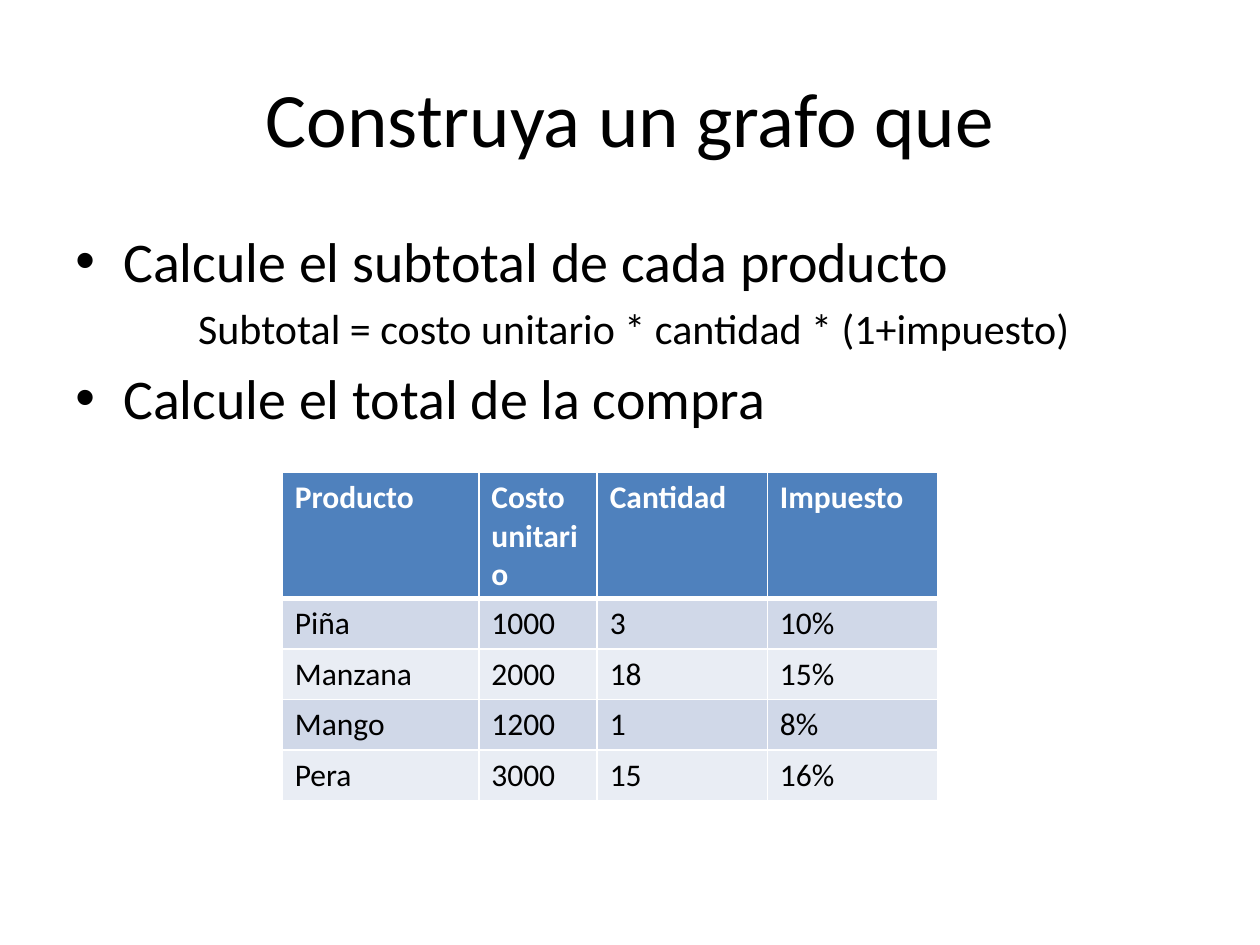
from pptx import Presentation
from pptx.dml.color import RGBColor
from pptx.enum.text import MSO_ANCHOR, PP_ALIGN
from pptx.oxml import parse_xml
from pptx.oxml.ns import nsdecls
from pptx.util import Inches, Pt

FONT = "Calibri"
BLACK, WHITE, HEADER = "000000", "FFFFFF", "4F81BD"
BANDS = ["D0D8E8", "E9EDF4"]

TITLE = "Construya un grafo que"
# text, size, is bullet
BODY = [
    ("Calcule el subtotal de cada producto", 32, True),
    ("Subtotal = costo unitario * cantidad * (1+impuesto)", 24, False),
    ("Calcule el total de la compra", 32, True),
]
PRODUCTS = [
    ("Producto", "Costo unitario", "Cantidad", "Impuesto"),
    ("Piña", "1000", "3", "10%"),
    ("Manzana", "2000", "18", "15%"),
    ("Mango", "1200", "1", "8%"),
    ("Pera", "3000", "15", "16%"),
]
COL_WIDTHS = [1.56, 0.94, 1.35, 1.35]
HEADER_H, ROW_H = 1.0, 0.4


def rgb(color):
    return RGBColor.from_string(color)


def style(p, size, color=BLACK, bold=False):
    for r in p.runs:
        r.font.name = FONT
        r.font.size = Pt(size)
        r.font.bold = bold
        r.font.color.rgb = rgb(color)


def add_text_frame(slide, left, top, width, height):
    box = slide.shapes.add_textbox(Inches(left), Inches(top), Inches(width), Inches(height))
    box.text_frame.word_wrap = True
    return box.text_frame


def indent(p, left, first=0):
    pPr = p._p.get_or_add_pPr()
    pPr.set("marL", str(Inches(left)))
    pPr.set("indent", str(Inches(first)))
    return pPr


def add_bullet(p):
    pPr = indent(p, 0.38, -0.38)
    pPr.append(parse_xml(f'<a:buFont {nsdecls("a")} typeface="Arial"/>'))
    pPr.append(parse_xml(f'<a:buChar {nsdecls("a")} char="•"/>'))


def set_borders(cell, bottom):
    """White lines around a cell, the bottom one of the given width in points."""
    tcPr = cell._tc.get_or_add_tcPr()
    widths = {"lnL": 1, "lnR": 1, "lnT": 1, "lnB": bottom}
    for i, (side, width) in enumerate(widths.items()):
        tcPr.insert(i, parse_xml(
            f'<a:{side} {nsdecls("a")} w="{Pt(width)}"><a:solidFill>'
            f'<a:srgbClr val="{WHITE}"/></a:solidFill></a:{side}>'))


def add_title(slide):
    tf = add_text_frame(slide, 0.5, 0.3, 9, 1.25)
    tf.vertical_anchor = MSO_ANCHOR.MIDDLE
    p = tf.paragraphs[0]
    p.text = TITLE
    p.alignment = PP_ALIGN.CENTER
    style(p, 44)


def add_body(slide):
    tf = add_text_frame(slide, 0.5, 1.75, 9, 5.31)
    for i, (text, size, is_bullet) in enumerate(BODY):
        p = tf.add_paragraph() if i else tf.paragraphs[0]
        p.text = text
        if i:
            p.space_before = Pt(0.2 * size)
        if is_bullet:
            add_bullet(p)
        else:
            indent(p, 0.06)
            p.alignment = PP_ALIGN.CENTER
        style(p, size)


def add_products(slide):
    height = HEADER_H + ROW_H * (len(PRODUCTS) - 1)
    table = slide.shapes.add_table(
        len(PRODUCTS), len(COL_WIDTHS), Inches(2.24), Inches(3.75),
        Inches(sum(COL_WIDTHS)), Inches(height)).table
    for column, width in zip(table.columns, COL_WIDTHS):
        column.width = Inches(width)
    for i, values in enumerate(PRODUCTS):
        is_header = i == 0
        table.rows[i].height = Inches(HEADER_H if is_header else ROW_H)
        for j, value in enumerate(values):
            cell = table.cell(i, j)
            cell.text = value
            cell.fill.solid()
            cell.fill.fore_color.rgb = rgb(HEADER if is_header else BANDS[(i - 1) % 2])
            set_borders(cell, 3 if is_header else 1)
            style(cell.text_frame.paragraphs[0], 18, WHITE if is_header else BLACK, is_header)


def main():
    prs = Presentation()
    prs.slide_width, prs.slide_height = Inches(10), Inches(7.5)
    slide = prs.slides.add_slide(prs.slide_layouts[6])
    add_title(slide)
    add_body(slide)
    add_products(slide)
    prs.save("out.pptx")


if __name__ == "__main__":
    main()
